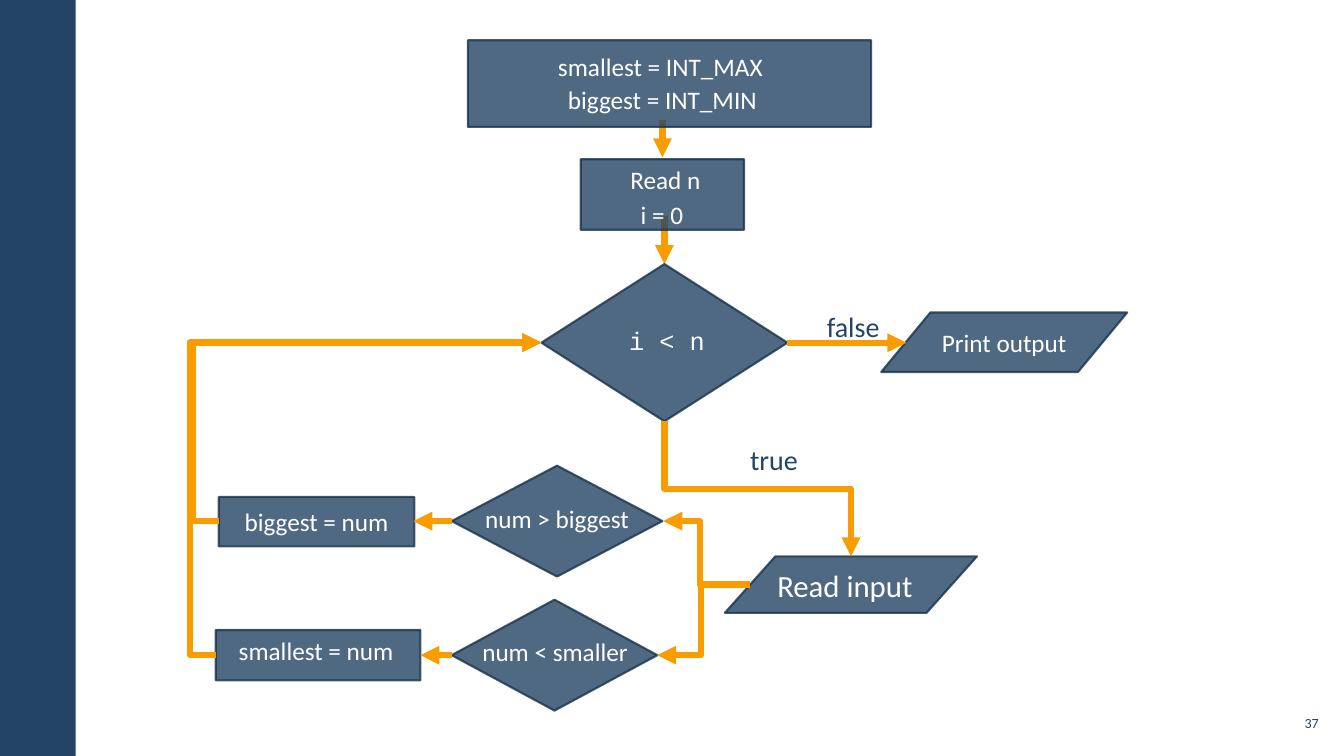
from lxml import etree
from pptx import Presentation
from pptx.dml.color import RGBColor
from pptx.enum.shapes import MSO_CONNECTOR, MSO_SHAPE
from pptx.enum.text import MSO_ANCHOR, MSO_AUTO_SIZE, PP_ALIGN
from pptx.oxml.ns import qn
from pptx.util import Inches, Pt

COLORS = {"navy": "234465", "outline": "1A334C", "arrow": "F99C00", "white": "FFFFFF"}
RECT, PROCESS = MSO_SHAPE.RECTANGLE, MSO_SHAPE.FLOWCHART_PROCESS
DECISION, DATA = MSO_SHAPE.FLOWCHART_DECISION, MSO_SHAPE.FLOWCHART_DATA
STRAIGHT, ELBOW = MSO_CONNECTOR.STRAIGHT, MSO_CONNECTOR.ELBOW
LEFT, CENTER, RIGHT = PP_ALIGN.LEFT, PP_ALIGN.CENTER, PP_ALIGN.RIGHT
TOP, MIDDLE = MSO_ANCHOR.TOP, MSO_ANCHOR.MIDDLE
NORMAL_INSETS, WIDE_INSETS, TIGHT_INSETS = (0.1, 0.05), (0.16, 0.12), (0.04, 0.04)


def color(name):
    return RGBColor.from_string(COLORS[name])


def inside(box, left, top, width, height):
    """Turn a place relative to a region into a place on the slide."""
    return box[0] + left, box[1] + top, width, height


def write(frame, lines, size=18, font="Calibri", ink="white", align=CENTER,
          anchor=TOP, insets=NORMAL_INSETS, spacing=None, wrap=True):
    """Fill a text frame; each line is a list of (text, size or None) runs."""
    frame.word_wrap = wrap
    frame.vertical_anchor = anchor
    frame.margin_left = frame.margin_right = Inches(insets[0])
    frame.margin_top = frame.margin_bottom = Inches(insets[1])
    for index, line in enumerate(lines):
        paragraph = frame.add_paragraph() if index else frame.paragraphs[0]
        paragraph.alignment = align
        if spacing:
            paragraph.line_spacing = spacing
        for text, run_size in line:
            run = paragraph.add_run()
            run.text = text
            run.font.size = Pt(run_size or size)
            run.font.name = font
            run.font.color.rgb = color(ink)


def add_text(slide, box, *lines, **style):
    frame = slide.shapes.add_textbox(*map(Inches, box)).text_frame
    write(frame, [[(line, None)] if isinstance(line, str) else line for line in lines], **style)
    frame.auto_size = MSO_AUTO_SIZE.SHAPE_TO_FIT_TEXT


def add_node(slide, kind, box, text=None):
    shape = slide.shapes.add_shape(kind, *map(Inches, box))
    shape.shadow.inherit = False
    shape.fill.solid()
    shape.fill.fore_color.rgb = color("navy")
    shape.line.color.rgb = color("outline")
    shape.line.width = Pt(1.5)
    for paint in shape._element.spPr.iter(qn("a:srgbClr")):
        etree.SubElement(paint, qn("a:alpha"), val="80000")
    if text:
        write(shape.text_frame, [[(text, None)]], anchor=MIDDLE)


def add_arrow(slide, start, end, kind=STRAIGHT):
    connector = slide.shapes.add_connector(kind, *map(Inches, (*start, *end)))
    connector.line.color.rgb = color("arrow")
    connector.line.width = Pt(4.5)
    properties = connector._element.spPr
    etree.SubElement(properties.find(qn("a:ln")), qn("a:tailEnd"), type="triangle")
    etree.SubElement(properties, qn("a:effectLst"))
    return properties


def add_elbow(slide, start, end, bend=0.5):
    """Elbow that leaves sideways and turns at the share bend of its width."""
    properties = add_arrow(slide, start, end, ELBOW)
    set_bend(properties, bend)


def add_drop(slide, start, end, turns=2):
    """Elbow that leaves vertically: a sideways one turned by 270 degrees."""
    center_x, center_y = (start[0] + end[0]) / 2, (start[1] + end[1]) / 2
    half_x, half_y = (end[0] - start[0]) / 2, (end[1] - start[1]) / 2
    properties = add_arrow(slide, (center_x + half_y, center_y - half_x),
                           (center_x - half_y, center_y + half_x), ELBOW)
    properties.find(qn("a:xfrm")).set("rot", str(270 * 60000))
    if turns == 1:
        properties.find(qn("a:prstGeom")).set("prst", "bentConnector2")
    else:
        set_bend(properties, 0.5)


def set_bend(properties, bend):
    values = properties.find(qn("a:prstGeom")).find(qn("a:avLst"))
    etree.SubElement(values, qn("a:gd"), name="adj1", fmla=f"val {round(bend * 100000)}")


def add_frame(slide, box):
    """Side bar and slide number."""
    left, top, width, height = box
    bar = slide.shapes.add_shape(RECT, *map(Inches, (left, top, 0.75, height)))
    bar.shadow.inherit = False
    bar.fill.solid()
    bar.fill.fore_color.rgb = color("navy")
    bar.line.fill.background()
    number = slide.shapes.add_textbox(
        *map(Inches, inside(box, width - 0.68, height - 0.5, 0.47, 0.34)))
    write(number.text_frame, [[("37", None)]], size=10, ink="navy", align=RIGHT,
          anchor=MIDDLE, insets=TIGHT_INSETS)


def add_setup(slide, box):
    """Starting values; the arrows run behind the boxes."""
    left, top = box[:2]
    add_arrow(slide, (left + 2.09, top + 0.79), (left + 2.09, top + 1.16))
    add_arrow(slide, (left + 2.11, top + 1.74), (left + 2.11, top + 2.22))
    add_node(slide, RECT, inside(box, 0.16, 0, 4, 0.86))
    add_text(slide, inside(box, 1.04, 0.39, 2.1, 0.4), "biggest = INT_MIN", wrap=False)
    add_text(slide, inside(box, 0, 0.06, 4.14, 0.4), "smallest = INT_MAX")
    add_node(slide, RECT, inside(box, 1.28, 1.18, 1.62, 0.7))
    add_text(slide, inside(box, 1.33, 1.02, 1.51, 0.96), [(" ", 22), ("Read n", 18)],
             "i = 0", insets=WIDE_INSETS, spacing=1.1)


def add_condition(slide, box):
    """Loop test with its way out to the output."""
    left, top = box[:2]
    add_node(slide, DECISION, inside(box, 0, 0, 2.44, 1.56))
    add_text(slide, inside(box, 0.09, 0.56, 2.31, 0.4), "i < n", font="Courier New")
    add_node(slide, DATA, inside(box, 3.37, 0.48, 2.44, 0.59), "Print output")
    add_arrow(slide, (left + 2.44, top + 0.78), (left + 3.62, top + 0.78))
    for word, label in (("false", (2.67, 0.3, 0.85, 0.59)), ("true", (1.91, 1.62, 0.8, 0.59))):
        add_text(slide, inside(box, *label), word, size=20, ink="navy", align=LEFT,
                 insets=WIDE_INSETS, spacing=1.1, wrap=False)


def add_body(slide, box):
    """Input, the two comparisons and the two assignments."""
    left, top = box[:2]
    add_node(slide, DATA, inside(box, 5.05, 0.9, 2.5, 0.56))
    add_text(slide, inside(box, 5.46, 0.95, 1.56, 0.47), "Read input", size=22, wrap=False)
    add_node(slide, DECISION, inside(box, 2.34, 1.33, 2.04, 1.1))
    add_text(slide, inside(box, 2.42, 1.64, 1.89, 0.4), "num < smaller")
    add_node(slide, DECISION, inside(box, 2.34, 0, 2.09, 1.1))
    add_text(slide, inside(box, 2.56, 0.32, 1.65, 0.4), "num > biggest", wrap=False)
    add_node(slide, PROCESS, inside(box, 0.03, 0.31, 1.94, 0.49), "biggest = num")
    add_node(slide, PROCESS, inside(box, 0, 1.63, 2.03, 0.5))
    add_text(slide, inside(box, 0.12, 1.63, 1.75, 0.4), "smallest = num", wrap=False)
    add_drop(slide, (left + 4.81, top + 1.18), (left + 4.38, top + 1.88), turns=1)
    add_elbow(slide, (left + 5.3, top + 1.18), (left + 4.44, top + 0.55), 0.58)
    for end, level in ((1.96, 0.55), (2.03, 1.88)):
        add_arrow(slide, (left + 2.34, top + level), (left + end, top + level))


def add_loop(slide, condition, body):
    """Arrows between the loop test and the loop body."""
    test = condition[0], condition[1] + 0.78
    for start, level in ((0.03, 0.55), (0, 1.88)):
        add_elbow(slide, (body[0] + start, body[1] + level), test, -0.08)
    add_drop(slide, (condition[0] + 1.22, condition[1] + 1.56), (body[0] + 6.3, body[1] + 0.9))


def main():
    presentation = Presentation()
    presentation.slide_width, presentation.slide_height = Inches(13.33), Inches(7.5)
    slide = presentation.slides.add_slide(presentation.slide_layouts[6])
    condition, body = (5.37, 2.62, 5.81, 2.21), (2.14, 4.62, 7.55, 2.43)
    add_frame(slide, (0, 0, 13.33, 7.5))
    add_setup(slide, (4.48, 0.4, 4.16, 2.22))
    add_condition(slide, condition)
    add_body(slide, body)
    add_loop(slide, condition, body)
    presentation.save("out.pptx")


if __name__ == "__main__":
    main()
